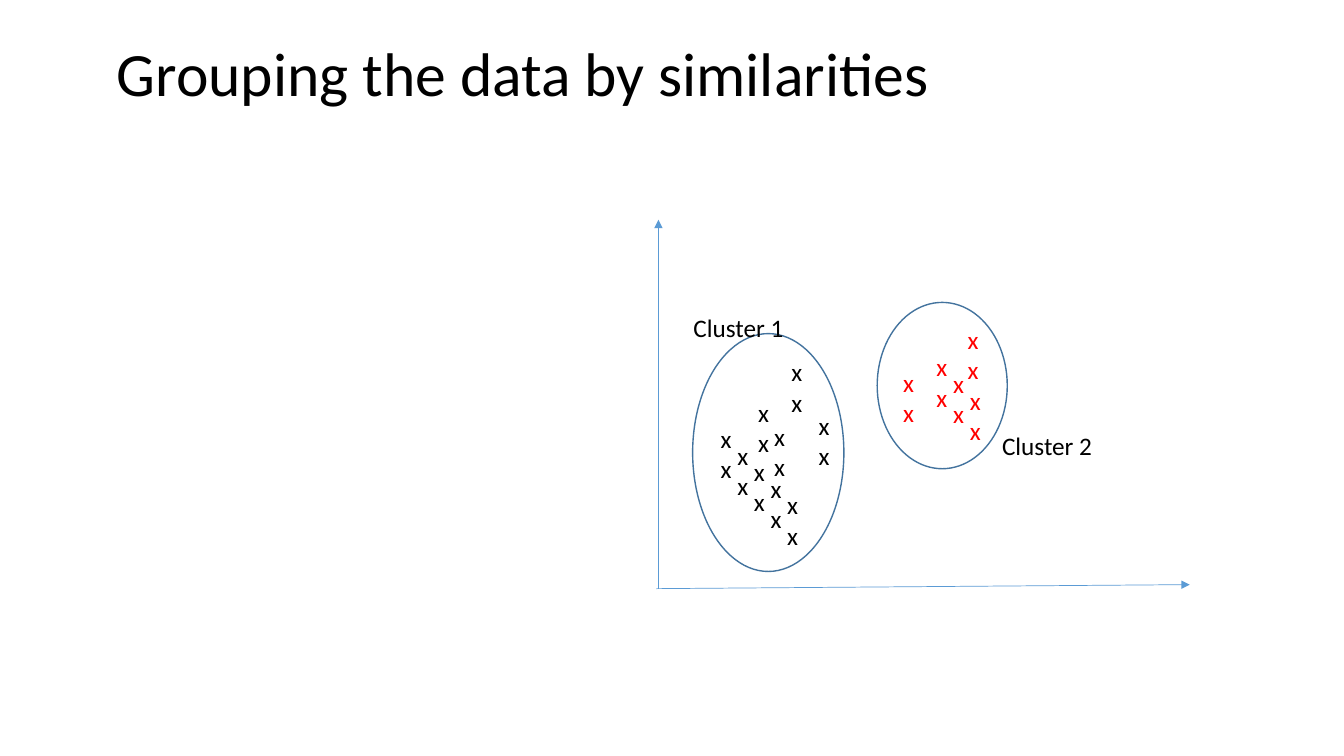
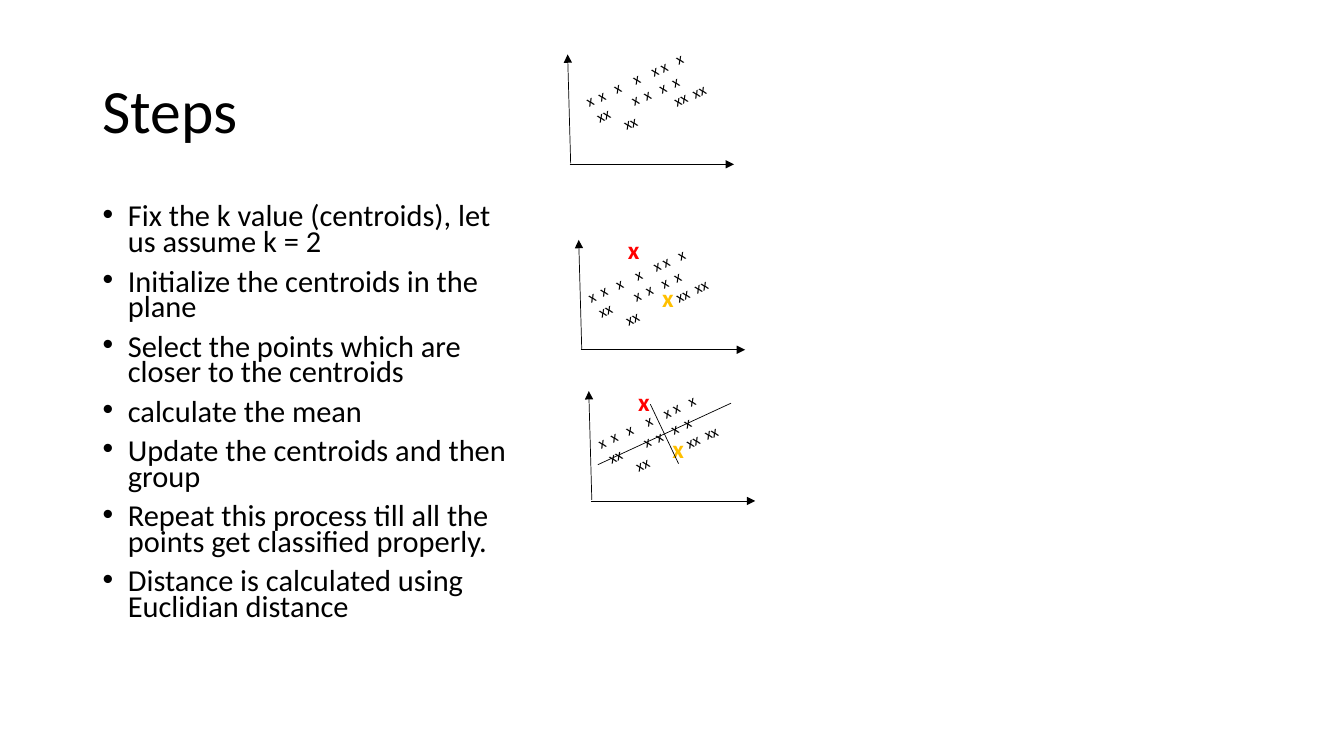
from collections import namedtuple

from lxml import etree
from pptx import Presentation
from pptx.dml.color import RGBColor
from pptx.enum.shapes import MSO_CONNECTOR, MSO_SHAPE
from pptx.enum.text import MSO_ANCHOR
from pptx.oxml.ns import qn
from pptx.util import Inches, Pt

STRAIGHT = MSO_CONNECTOR.STRAIGHT
OVAL = MSO_SHAPE.OVAL
TOP, MIDDLE = MSO_ANCHOR.TOP, MSO_ANCHOR.MIDDLE

BLACK = RGBColor(0x00, 0x00, 0x00)
WHITE = RGBColor(0xFF, 0xFF, 0xFF)
RED = RGBColor(0xFF, 0x00, 0x00)
AMBER = RGBColor(0xFF, 0xC0, 0x00)
BLUE = RGBColor(0x5B, 0x9B, 0xD5)
DARK_BLUE = RGBColor(0x43, 0x73, 0x9E)

FONT = "Calibri"
SLIDE_WIDTH, SLIDE_HEIGHT = 13.33, 7.5
POINT_TILT = 335.1

STEPS = [
    "Fix the k value (centroids), let us assume k = 2",
    "Initialize the centroids in the plane",
    "Select the points which are closer to the centroids",
    "calculate the mean",
    "Update the centroids and then group",
    "Repeat this process till all the points get classified properly.",
    "Distance is calculated using Euclidian distance",
]
# Each row of points with its tab stops in inches
POINT_ROWS = [
    ("x\tx\tx\tx\tx x\tx", (0.13, 0.3, 0.51, 0.71, 0.98)),
    ("\txx\tx\tx\tx\tx", (0.03, 0.41, 0.54, 0.71, 0.85)),
    ("\txx\txx\txx", (0.24, 0.79, 0.99)),
]


class Box(namedtuple("Box", "left top width height")):
    def inner(self, x, y, width, height):
        """Return a box whose offset is measured from this box's corner."""
        return Box(self.left + x, self.top + y, width, height)

    def inches(self):
        return [Inches(value) for value in self]


def add_text(page, box, text, size=18, color=BLACK, bold=False, anchor=TOP,
             line_spacing=None, space_before=None):
    """Add a text box with one paragraph for each line of text."""
    shape = page.shapes.add_textbox(*box.inches())
    frame = shape.text_frame
    frame.word_wrap = True
    frame.vertical_anchor = anchor
    for index, line in enumerate(text.split("\n")):
        para = frame.add_paragraph() if index else frame.paragraphs[0]
        if line_spacing:
            para.line_spacing = line_spacing
        if space_before:
            para.space_before = Pt(space_before)
        span = para.add_run()
        span.text = line
        span.font.name = FONT
        span.font.size = Pt(size)
        span.font.bold = bold
        span.font.color.rgb = color
    return shape


def add_title(page, text, left, top, anchor):
    box = Box(left, top, 11.5, 1.45)
    add_text(page, box, text, size=44, anchor=anchor, line_spacing=0.9)


def add_bullets(page, box, items):
    shape = add_text(page, box, "\n".join(items), size=21.7,
                     line_spacing=0.7, space_before=10)
    for para in shape.text_frame.paragraphs:
        properties = para._p.get_or_add_pPr()
        properties.set("marL", str(Inches(0.25)))
        properties.set("indent", str(-Inches(0.25)))
        etree.SubElement(properties, qn("a:buFont"), typeface="Arial")
        etree.SubElement(properties, qn("a:buChar"), char="•")


def add_segment(page, box, start, end, color=BLACK, arrow=False):
    """Draw a line between two offsets from the corner of the box."""
    ends = (box.left + start[0], box.top + start[1],
            box.left + end[0], box.top + end[1])
    line = page.shapes.add_connector(STRAIGHT, *map(Inches, ends))
    line.line.color.rgb = color
    line.line.width = Pt(0.5)
    if arrow:
        etree.SubElement(line.line._get_or_add_ln(), qn("a:tailEnd"),
                         type="triangle")
    etree.SubElement(line._element.spPr, qn("a:effectLst"))


def diagonal(x, y, count, step=0.165):
    return [(x + step * i, y + step * i) for i in range(count)]


def add_cluster(page, box, label, label_offset, marks, color):
    """Draw an oval with its mark pairs and its label."""
    oval = page.shapes.add_shape(OVAL, *box.inches())
    oval.shadow.inherit = False
    oval.fill.solid()
    oval.fill.fore_color.rgb = WHITE
    oval.line.color.rgb = DARK_BLUE
    oval.line.width = Pt(1)
    for x, y in marks:
        add_text(page, box.inner(x, y, 0.36, 0.71), "x x", color=color)
    add_text(page, box.inner(*label_offset, 1.16, 0.4), label)


def add_cluster_plot(page, box):
    add_segment(page, box, (0.02, box.height), (0.02, 0), BLUE, arrow=True)
    add_segment(page, box, (0, box.height), (box.width, box.height - 0.04),
                BLUE, arrow=True)
    add_cluster(page, box.inner(2.19, 0.82, 1.29, 1.65), "Cluster 2",
                (1.14, 1.22),
                diagonal(0.49, 0.44, 3) + [(0.16, 0.59), (0.8, 0.17)], RED)
    add_cluster(page, box.inner(0.36, 1.13, 1.5, 2.36), "Cluster 1",
                (-0.09, -0.26),
                diagonal(0.18, 0.84, 5)
                + [(0.71, 0.82), (0.55, 0.58), (1.15, 0.71), (0.88, 0.18)],
                BLACK)


def add_points(page, box):
    """Add the tilted rows of points, spaced by tab stops."""
    text = "\n".join(row for row, _ in POINT_ROWS)
    shape = add_text(page, box, text, size=11)
    shape.rotation = POINT_TILT
    for para, (_, stops) in zip(shape.text_frame.paragraphs, POINT_ROWS):
        tabs = etree.SubElement(para._p.get_or_add_pPr(), qn("a:tabLst"))
        for stop in stops:
            etree.SubElement(tabs, qn("a:tab"), pos=str(Inches(stop)), algn="l")


def add_step_plot(page, box, points_offset, centroids=False, split=False):
    """Draw one stage: axes and points, then centroids and dividing lines."""
    add_segment(page, box, (0.02, box.height), (box.width, box.height),
                arrow=True)
    add_segment(page, box, (0.03, box.height - 0.01), (0, 0), arrow=True)
    if centroids:
        for x, y, color in ((0.39, -0.1, RED), (0.73, 0.37, AMBER)):
            add_text(page, box.inner(x, y, 0.3, 0.4), "x", color=color,
                     bold=True)
    add_points(page, box.inner(*points_offset, 1.45, 0.66))
    if split:
        add_segment(page, box, (0.61, 0.13), (0.89, 0.72))
        add_segment(page, box, (0.09, 0.73), (1.41, 0.12))


def build_grouping(page):
    add_title(page, "Grouping the data by similarities", 1.06, 0.38, TOP)
    add_cluster_plot(page, Box(6.51, 2.18, 5.29, 3.66))


def build_steps(page):
    add_title(page, "Steps", 0.92, 0.4, MIDDLE)
    add_bullets(page, Box(0.92, 2, 4.36, 4.76), STEPS)
    size = (1.65, 1.09)
    add_step_plot(page, Box(5.63, 0.54, *size), (0.11, 0.05))
    add_step_plot(page, Box(5.74, 2.38, *size), (0.02, 0.15), centroids=True)
    add_step_plot(page, Box(5.84, 3.88, *size), (0.02, 0.1), centroids=True,
                  split=True)


def main():
    deck = Presentation()
    deck.slide_width = Inches(SLIDE_WIDTH)
    deck.slide_height = Inches(SLIDE_HEIGHT)
    blank = deck.slide_layouts[6]
    for build in (build_grouping, build_steps):
        build(deck.slides.add_slide(blank))
    deck.save("out.pptx")


if __name__ == "__main__":
    main()
